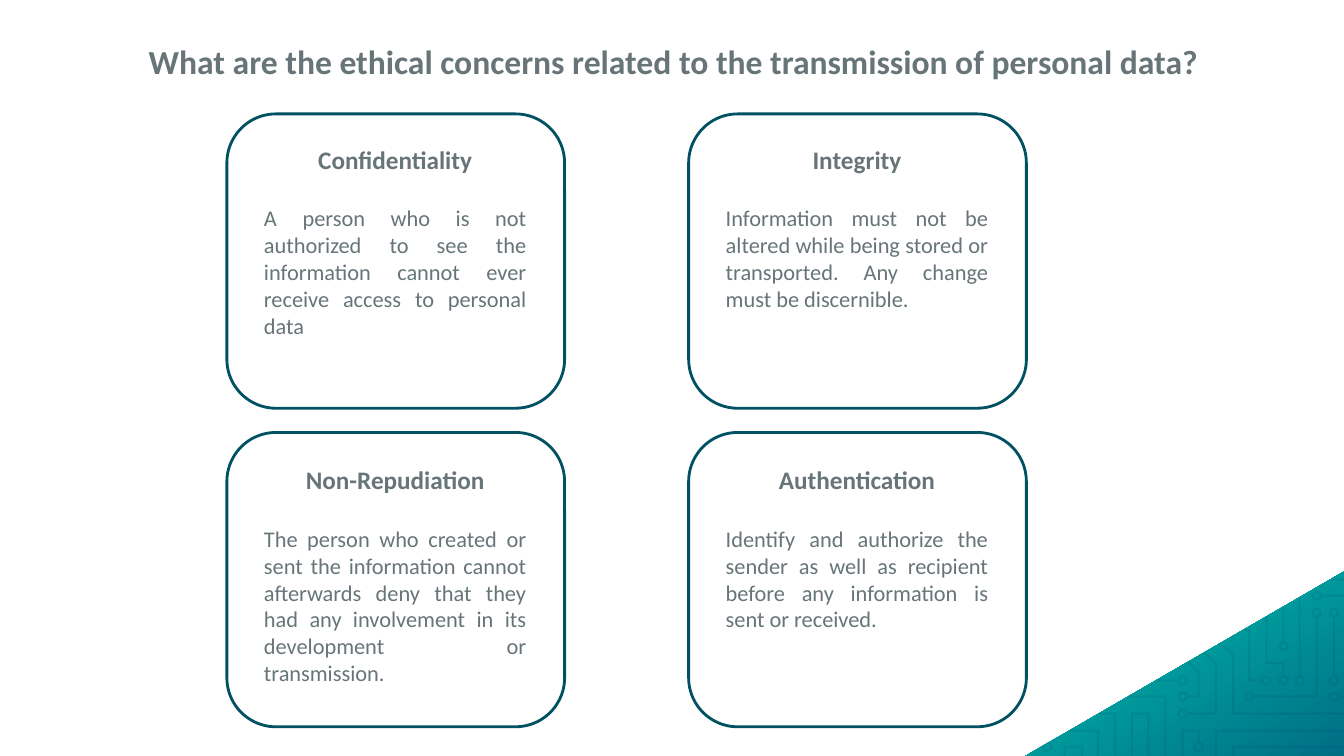
import math
from lxml import etree
from pptx import Presentation, util as u
from pptx.dml.color import RGBColor
from pptx.enum import shapes as sh, text as tx
from pptx.oxml.ns import qn

HEX = {"grey": "677579", "edge": "005162", "track": "00226D",
       "mint": "00CCA0", "teal": "00989A", "deep": "006E85"}
WIDE, HIGH = 13.33, 7.5
FONT = "Calibri"

# Rows of cards: heading, body, lines the body takes
CARDS = [
    [("Confidentiality", "A person who is not authorized to see the information "
      "cannot ever receive access to personal data", 5),
     ("Integrity", "Information must not be altered while being stored or "
      "transported. Any change must be discernible.", 4)],
    [("Non-Repudiation", "The person who created or sent the information cannot "
      "afterwards deny that they had any involvement in its development or "
      "transmission.", 6),
     ("Authentication", "Identify and authorize the sender as well as recipient "
      "before any information is sent or received.", 4)],
]

# Circuit lines and ring centres, in inches from the corner's left top
TRACKS = [
    [(3.11, 1.24), (3.16, 1.24)],
    [(2.56, 1.03), (2.56, 0.91), (2.39, 0.91), (2.39, 0.46)],
    [(2.34, 1.08), (2.22, 1.08), (2.22, 0.58), (2.17, 0.58)],
    [(2.56, 0.69), (2.56, 0.36)],
    [(2.06, 1.83), (2.06, 1.74), (3.16, 1.74)],
    [(3.04, 0.08), (3.16, 0.08)],
    [(2.94, 0.24), (3.16, 0.24)],
    [(2.72, 1.03), (2.72, 0.26)],
    [(3.06, 1.03), (3.06, 0.46)],
    [(2.27, 1.24), (2.89, 1.24), (2.89, 0.46)],
    [(1.61, 1.24), (1.72, 1.24), (1.72, 1.00), (1.62, 0.90)],
    [(1.06, 1.83), (1.06, 1.41), (1.22, 1.41), (1.22, 1.83)],
    [(1.02, 1.24), (1.39, 1.24), (1.39, 1.83)],
    [(1.94, 0.72), (2.06, 0.82), (2.06, 1.41), (3.16, 1.41)],
    [(1.72, 1.69), (1.72, 1.58), (1.56, 1.58), (1.56, 1.83)],
    [(1.89, 1.83), (1.89, 1.58), (3.16, 1.58)],
    [(1.61, 1.41), (1.89, 1.41), (1.89, 0.91), (1.78, 0.81)],
    [(0.13, 1.74), (0.18, 1.74)],
    [(0.73, 1.41), (0.89, 1.41), (0.89, 1.83)],
    [(1.31, 1.08), (1.50, 1.08)],
    [(0.39, 1.83), (0.39, 1.74), (0.56, 1.74), (0.56, 1.83)],
    [(0.44, 1.58), (0.72, 1.58), (0.72, 1.83)],
]
RINGS = [(3.06, 1.24), (3.06, 1.08), (3.06, 0.41), (2.89, 0.41), (2.89, 0.24),
         (2.72, 1.08), (2.56, 1.08), (2.56, 0.74), (2.39, 1.08), (2.22, 1.24),
         (1.72, 1.74), (1.56, 1.41), (1.56, 1.24), (1.56, 1.08), (0.22, 1.74)]


def rgb(name):
    return RGBColor.from_string(HEX[name])


def side(points, off):
    """Shift a line sideways by off, with mitred corners."""
    norms = []
    for (ax, ay), (bx, by) in zip(points, points[1:]):
        size = math.hypot(bx - ax, by - ay)
        norms.append(((ay - by) / size, (bx - ax) / size))
    out = []
    for (x, y), (ax, ay), (bx, by) in zip(points, norms[:1] + norms,
                                          norms + norms[-1:]):
        k = off / (1 + ax * bx + ay * by)
        out.append((x + k * (ax + bx), y + k * (ay + by)))
    return out


def strip(points, half=0.01):
    return side(points, half) + side(points, -half)[::-1]


def round_path(x, y, rad, turn, count=12):
    steps = [turn * 2 * math.pi * i / count for i in range(count)]
    return [(x + rad * math.cos(a), y + rad * math.sin(a)) for a in steps]


def trace(slide, x, y, loops):
    """Draw closed loops, given relative to x and y, as one shape."""
    path = None
    for loop in loops:
        spots = [(u.Inches(x + dx), u.Inches(y + dy)) for dx, dy in loop]
        if path is None:
            path = slide.shapes.build_freeform(*spots[0])
        else:
            path.move_to(*spots[0])
        path.add_line_segments(spots[1:], close=True)
    shape = path.convert_to_shape()
    shape.shadow.inherit = False
    shape.line.fill.background()
    return shape


def blend(shape, names, angle):
    """Fill with evenly spaced colours; the angle runs clockwise."""
    shape.fill.gradient()
    shape.fill.gradient_angle = 360 - angle
    stops = shape.element.spPr.find(".//" + qn("a:gsLst"))
    for stop in list(stops):
        stops.remove(stop)
    for i, name in enumerate(names):
        stop = etree.SubElement(stops, qn("a:gs"),
                                pos=str(100000 * i // (len(names) - 1)))
        etree.SubElement(stop, qn("a:srgbClr"), val=HEX[name])


def tint(shape, name, alpha):
    shape.fill.solid()
    shape.fill.fore_color.rgb = rgb(name)
    tone = shape.element.spPr.find(qn("a:solidFill")).find(qn("a:srgbClr"))
    etree.SubElement(tone, qn("a:alpha"), val=str(alpha * 1000))


def write(para, words, size, bold=False, align=tx.PP_ALIGN.CENTER, before=0, lead=1.0):
    para.alignment = align
    para.space_before = u.Pt(before)
    para.line_spacing = lead
    run = para.add_run()
    run.text = words
    font = run.font
    font.name, font.size, font.bold = FONT, u.Pt(size), bold
    font.color.rgb = rgb("grey")


def frame(slide, x, y, w, h):
    box = slide.shapes.add_textbox(*map(u.Inches, (x, y, w, h))).text_frame
    box.word_wrap = True
    return box


def corner(slide, x, y, w, h):
    wedge = trace(slide, x, y, [[(w, 0), (0, h), (w, h)]])
    blend(wedge, ["mint", "teal", "deep"], 60)
    loops = [strip(track) for track in TRACKS]
    for dx, dy in RINGS:
        loops += [round_path(dx, dy, 0.05, 1), round_path(dx, dy, 0.03, -1)]
    tint(trace(slide, x, y, loops), "track", 10)


def title(slide, x, y, w, h):
    box = frame(slide, x, y, w, h)
    box.margin_left = u.Inches(0.02)
    box.margin_right = box.margin_top = box.margin_bottom = 0
    write(box.paragraphs[0], "What are the ethical concerns related to the "
          "transmission of personal data?", 24, bold=True, lead=1.05)


def rim(slide, x, y, w, h):
    shape = slide.shapes.add_shape(sh.MSO_SHAPE.ROUNDED_RECTANGLE,
                                   *map(u.Inches, (x, y, w, h)))
    shape.shadow.inherit = False
    shape.fill.background()
    shape.line.color.rgb = rgb("edge")
    shape.line.width = u.Pt(2)


def label(slide, x, y, w, head, body, lines):
    box = frame(slide, x, y, w, 0.7 + 0.27 * lines)
    box.auto_size = tx.MSO_AUTO_SIZE.SHAPE_TO_FIT_TEXT
    write(box.paragraphs[0], head, 18, bold=True)
    write(box.add_paragraph(), body, 16, align=tx.PP_ALIGN.JUSTIFY, before=21.5)


def grid(slide, x, y, w, h, wide=3.35, high=2.92):
    """Spread two by two cards to the edges of the box."""
    for r, row in enumerate(CARDS):
        for c, words in enumerate(row):
            left, top = x + c * (w - wide), y + r * (h - high)
            rim(slide, left, top, wide, high)
            label(slide, left + 0.27, top + 0.25 + 0.02 * r, 2.8, *words)


def main():
    deck = Presentation()
    deck.slide_width, deck.slide_height = u.Inches(WIDE), u.Inches(HIGH)
    slide = deck.slides.add_slide(deck.slide_layouts[6])
    corner(slide, WIDE - 3.16, HIGH - 1.83, 3.16, 1.83)
    title(slide, 0.19, 0.39, 12.96, 0.5)
    grid(slide, 2.25, 1.13, 7.93, 6.08)
    deck.save("out.pptx")


if __name__ == "__main__":
    main()
